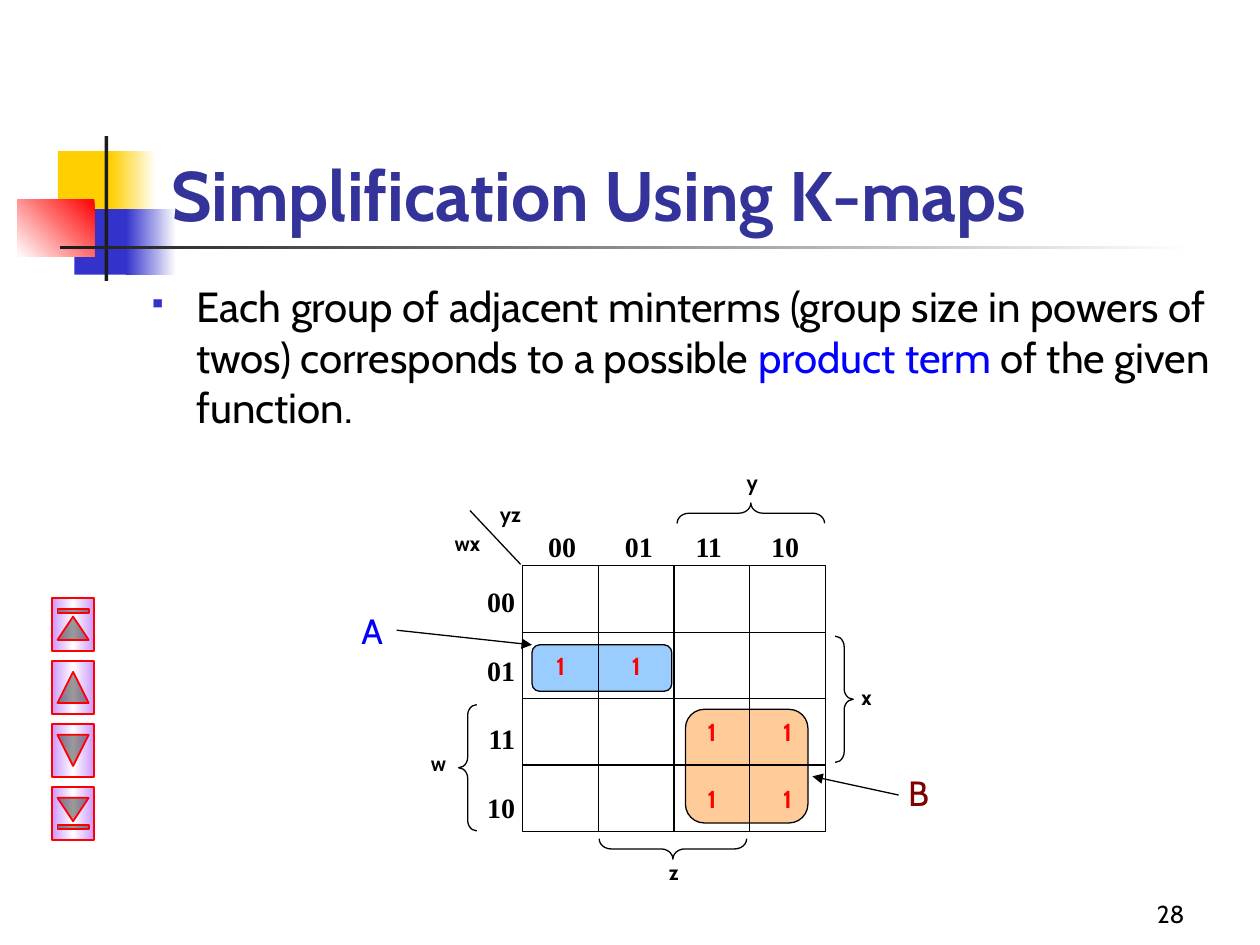
"""Build a slide on simplifying a Boolean function with a Karnaugh map."""
from dataclasses import dataclass

from pptx import Presentation
from pptx import util as u
from pptx.dml.color import RGBColor
from pptx.enum import shapes, text
from pptx.oxml import parse_xml
from pptx.oxml.ns import nsdecls, qn


@dataclass(frozen=True)
class Theme:
    font: str = "Cabin"
    code_font: str = "Times New Roman"
    title: str = "333399"
    black: str = "000000"
    white: str = "FFFFFF"
    dark: str = "1C1C1C"
    yellow: str = "FFCF01"
    indigo: str = "3333CC"
    red: str = "FF0000"
    blue: str = "0000FF"
    maroon: str = "800000"
    sky: str = "99CCFF"
    peach: str = "FFCC99"
    lilac: str = "CC99FF"
    title_size: int = 40
    body_size: int = 24
    group_size: int = 20
    code_size: int = 16
    cell_size: int = 14
    label_size: int = 12


THEME = Theme()
SHAPE = shapes.MSO_SHAPE
ALIGN = text.PP_ALIGN
ANCHOR = text.MSO_ANCHOR
WIDTH, HEIGHT = 10, 7.5
MAP_LEFT, MAP_TOP, COLUMN, ROW, CELLS = 4.15, 4.49, 0.6, 2.11 / 4, 4

TITLE = "Simplification Using K-maps"
BODY = [
    ("Each group of adjacent minterms (group size in powers of twos) corresponds to a possible ", THEME.black),
    ("product term", THEME.blue),
    (" of the given function.", THEME.black),
]
PAGE_NUMBER = "28"
ORNAMENTS = [
    ((4.6, 16, 4.8, 6.93), [THEME.yellow], 0),
    ((8.8, 16, 3.6, 6.93), [THEME.white, THEME.yellow], 180),
    ((5.9, 22.13, 4.6, 6.93), [THEME.indigo], 0),
    ((10, 22.13, 4, 6.93), [THEME.white, THEME.indigo], 180),
    ((1.4, 21.07, 6.1, 6.13), [THEME.red, THEME.white], 135),
    ((8.3, 14.4, 0.3, 15.33), [THEME.dark], 0),
    ((4.8, 26, 90, 0.4), [THEME.white, THEME.dark], 180),
]
BUTTONS = [
    SHAPE.ACTION_BUTTON_BEGINNING,
    SHAPE.ACTION_BUTTON_BACK_OR_PREVIOUS,
    SHAPE.ACTION_BUTTON_FORWARD_OR_NEXT,
    SHAPE.ACTION_BUTTON_END,
]
CODES = ["00", "01", "11", "10"]
CODE_TABS = [0.61, 1.17, 1.77]
ONES = [(0, 1), (1, 1), (2, 2), (3, 2), (2, 3), (3, 3)]
GROUPS = [
    ((2.15, 2.16, 1.62, 1.71), THEME.peach),
    ((0.12, 1.19, 1.85, 0.7), THEME.sky),
]
BRACES = [
    (SHAPE.LEFT_BRACE, (-0.85, 2.09, 0.24, 1.9), 0),
    (SHAPE.RIGHT_BRACE, (4.13, 1.06, 0.24, 1.9), 0),
    (SHAPE.LEFT_BRACE, (2.88, -1.9, 0.27, 2.22), 90),
    (SHAPE.LEFT_BRACE, (1.85, 3.15, 0.27, 2.22), 270),
]
VARIABLES = [
    ("w", (-1.48, 2.69, 0.73, 0.8)),
    ("x", (4.18, 1.69, 0.73, 0.8)),
    ("y", (2.67, -1.54, 0.73, 0.61)),
    ("z", (1.63, 4.32, 0.73, 0.61)),
    ("wx", (-1.17, -0.63, 0.87, 0.72)),
    ("yz", (-0.6, -1.06, 0.87, 0.64)),
]
GROUP_NAMES = [
    ("A", (-2.33, 0.57, 0.67, 1), THEME.blue),
    ("B", (4.9, 3, 0.67, 1), THEME.maroon),
]
DIAGONAL = (-0.03, -0.02, -0.7, -0.83)
POINTERS = [(-1.67, 0.97, 0.12, 1.19), (4.97, 3.45, 3.83, 3.17)]


def share(left, top, width, height):
    """Turn percentages of the slide into lengths."""
    return [u.Inches(value * side / 100) for value, side in
            zip((left, top, width, height), (WIDTH, HEIGHT) * 2)]


def grid(column, row, columns, rows):
    """Turn map columns and rows into a box."""
    return [u.Inches(value) for value in
            (MAP_LEFT + column * COLUMN, MAP_TOP + row * ROW, columns * COLUMN, rows * ROW)]


def paint(shape, colors, angle=0):
    """Fill a shape with one colour or an even gradient."""
    if len(colors) == 1:
        shape.fill.solid()
        shape.fill.fore_color.rgb = RGBColor.from_string(colors[0])
        return
    shape.fill.gradient()
    shape.fill.gradient_angle = (360 - angle) % 360
    stops = shape._element.spPr.find(qn("a:gradFill")).find(qn("a:gsLst"))
    for stop in list(stops):
        stops.remove(stop)
    for index, color in enumerate(colors):
        position = 100000 * index // (len(colors) - 1)
        stops.append(parse_xml(f'<a:gs {nsdecls("a")} pos="{position}"><a:srgbClr val="{color}"/></a:gs>'))


def add_shape(slide, kind, box, colors=(), angle=0, line=None, weight=0.75, rotation=0):
    """Add a preset shape without shadow."""
    shape = slide.shapes.add_shape(kind, *box)
    shape.shadow.inherit = False
    shape.rotation = rotation
    if colors:
        paint(shape, colors, angle)
    else:
        shape.fill.background()
    if line:
        shape.line.color.rgb = RGBColor.from_string(line)
        shape.line.width = u.Pt(weight)
    else:
        shape.line.fill.background()
    return shape


def add_line(slide, start_column, start_row, end_column, end_row, arrow=False):
    """Add a black line between two map positions."""
    start = grid(start_column, start_row, 0, 0)[:2]
    end = grid(end_column, end_row, 0, 0)[:2]
    line = slide.shapes.add_connector(shapes.MSO_CONNECTOR.STRAIGHT, *start, *end)
    line.line.color.rgb = RGBColor.from_string(THEME.black)
    line.line.width = u.Pt(0.75)
    if arrow:
        line.line._get_or_add_ln().append(parse_xml(f'<a:tailEnd {nsdecls("a")} type="triangle"/>'))
    line._element.spPr.append(parse_xml(f'<a:effectLst {nsdecls("a")}/>'))


def write(shape, paragraphs, size, font=THEME.font, color=THEME.black, bold=False,
          align=ALIGN.CENTER, anchor=ANCHOR.TOP, gap=0):
    """Write paragraphs, each a string or a list of (words, colour) runs."""
    frame = shape.text_frame
    frame.word_wrap = True
    frame.auto_size = text.MSO_AUTO_SIZE.NONE
    frame.vertical_anchor = anchor
    for index, content in enumerate(paragraphs):
        paragraph = frame.add_paragraph() if index else frame.paragraphs[0]
        paragraph.alignment = align
        if index and gap:
            paragraph.space_before = u.Pt(gap)
        for words, run_color in [(content, color)] if isinstance(content, str) else content:
            run = paragraph.add_run()
            run.text = words
            run.font.name, run.font.size, run.font.bold = font, u.Pt(size), bold
            run.font.color.rgb = RGBColor.from_string(run_color)
    return frame.paragraphs[0]._p.get_or_add_pPr()


def add_frame(slide):
    """Add the ornaments, title, body, buttons and page number."""
    for box, colors, angle in ORNAMENTS:
        add_shape(slide, SHAPE.RECTANGLE, share(*box), colors, angle)
    title = slide.shapes.title
    title.left, title.top, title.width, title.height = share(12.6, 8.93, 85.2, 16.67)
    slide.shapes._spTree.append(title._element)
    write(title, [TITLE], THEME.title_size, color=THEME.title, bold=True, align=ALIGN.LEFT, anchor=ANCHOR.BOTTOM)
    body = slide.shapes.add_textbox(*share(10.8, 29.07, 86.7, 18.93))
    properties = write(body, [BODY], THEME.body_size, align=ALIGN.LEFT)
    properties.set("marL", str(u.Inches(0.38)))
    properties.set("indent", str(-u.Inches(0.38)))
    for bullet in (f'<a:buClr {nsdecls("a")}><a:srgbClr val="{THEME.indigo}"/></a:buClr>',
                   f'<a:buSzPct {nsdecls("a")} val="60000"/>', f'<a:buChar {nsdecls("a")} char="▪"/>'):
        properties.append(parse_xml(bullet))
    for index, kind in enumerate(BUTTONS):
        add_shape(slide, kind, share(3.7, 63.87 + index * 6.67, 4.2, 4.4),
                  [THEME.lilac, THEME.white, THEME.lilac], 90, THEME.red, 1, 90)
    number = slide.shapes.add_textbox(*share(74.2, 92.27, 20.8, 6.67))
    write(number, [PAGE_NUMBER], THEME.cell_size, align=ALIGN.RIGHT, anchor=ANCHOR.BOTTOM)


def add_map(slide):
    """Add the map with its groups, grid, labels, braces and pointers."""
    for box, color in GROUPS:
        add_shape(slide, SHAPE.FLOWCHART_ALTERNATE_PROCESS, grid(*box), [color], line=THEME.black)
    add_shape(slide, SHAPE.RECTANGLE, grid(0, 0, CELLS, CELLS), line=THEME.black)
    for index in range(1, CELLS):
        add_line(slide, index, 0, index, CELLS)
        add_line(slide, 0, index, CELLS, index)
    for kind, box, rotation in BRACES:
        brace = add_shape(slide, kind, grid(*box), line=THEME.black, rotation=rotation)
        brace.adjustments[0] = 0.58
    labels = [("1", (column, row + 0.19, 1, 0.8), THEME.cell_size, THEME.red, True) for column, row in ONES]
    labels += [(name, box, THEME.label_size, THEME.black, True) for name, box in VARIABLES]
    labels += [(name, box, THEME.group_size, color, False) for name, box, color in GROUP_NAMES]
    for name, box, size, color, bold in labels:
        write(slide.shapes.add_textbox(*grid(*box)), [name], size, color=color, bold=bold)
    code_format = dict(size=THEME.code_size, font=THEME.code_font, bold=True)
    row_codes = slide.shapes.add_textbox(*grid(-0.67, 0.19, 0.73, 4.15))
    write(row_codes, CODES, align=ALIGN.RIGHT, gap=20, **code_format)
    column_codes = slide.shapes.add_textbox(*grid(0.17, -0.64, 3.73, 0.8))
    properties = write(column_codes, ["\t".join(CODES)], align=ALIGN.LEFT, **code_format)
    tabs = "".join(f'<a:tab pos="{u.Inches(tab)}" algn="l"/>' for tab in CODE_TABS)
    properties.append(parse_xml(f'<a:tabLst {nsdecls("a")}>{tabs}</a:tabLst>'))
    add_line(slide, *DIAGONAL)
    for pointer in POINTERS:
        add_line(slide, *pointer, arrow=True)


def main():
    """Build and save the presentation."""
    presentation = Presentation()
    presentation.slide_width, presentation.slide_height = u.Inches(WIDTH), u.Inches(HEIGHT)
    slide = presentation.slides.add_slide(presentation.slide_layouts[5])
    add_frame(slide)
    add_map(slide)
    presentation.save("out.pptx")


if __name__ == "__main__":
    main()
